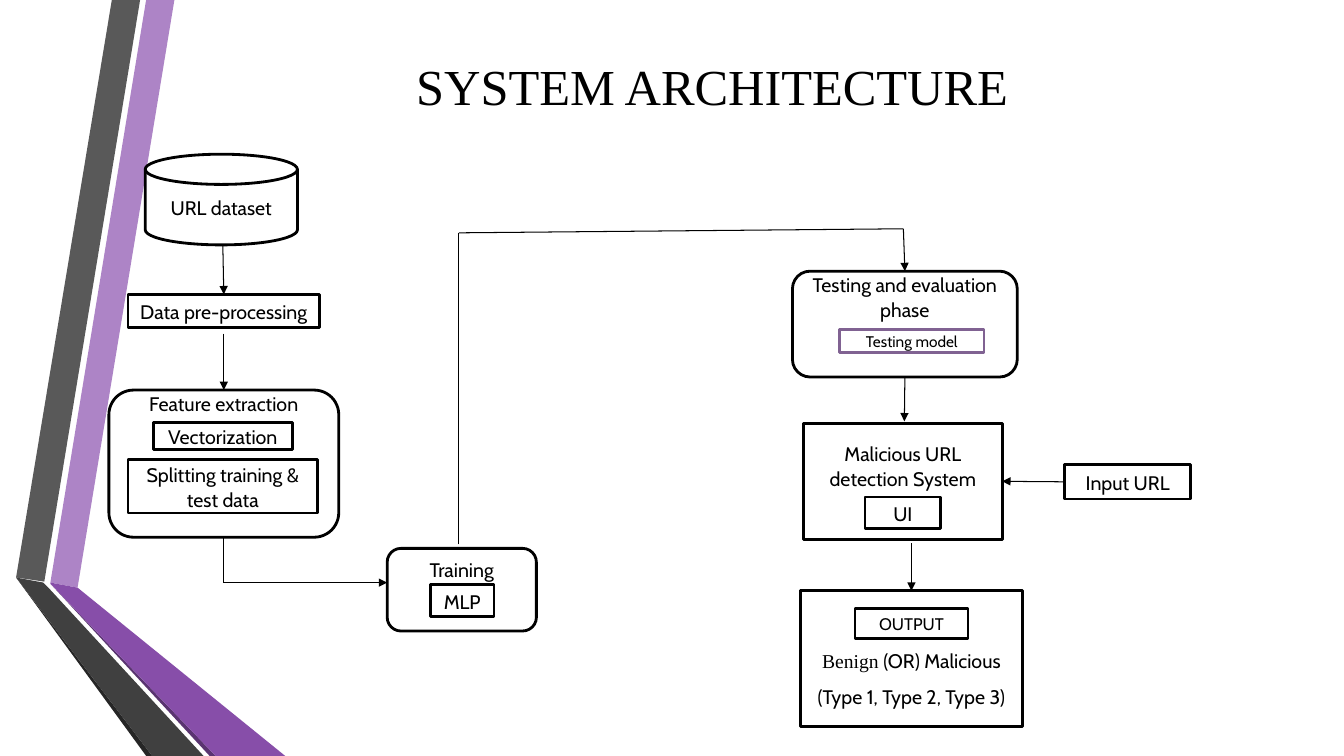
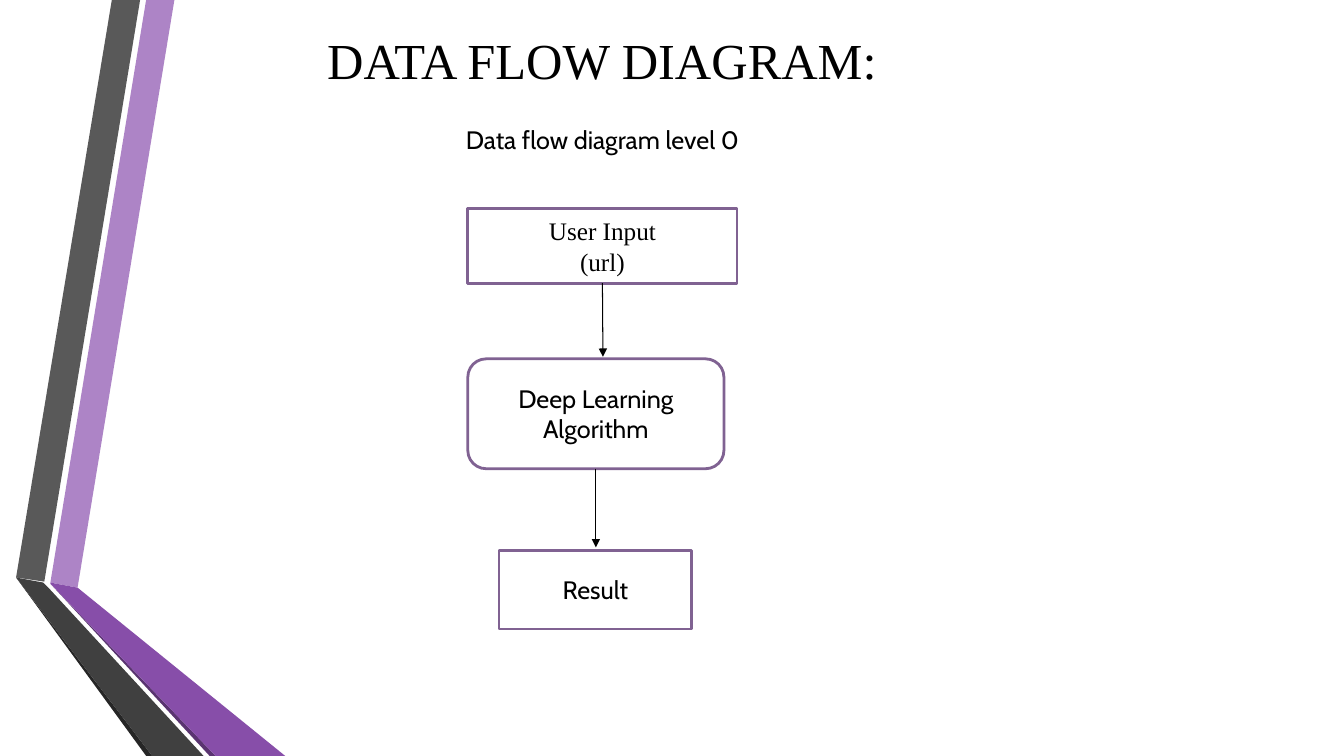
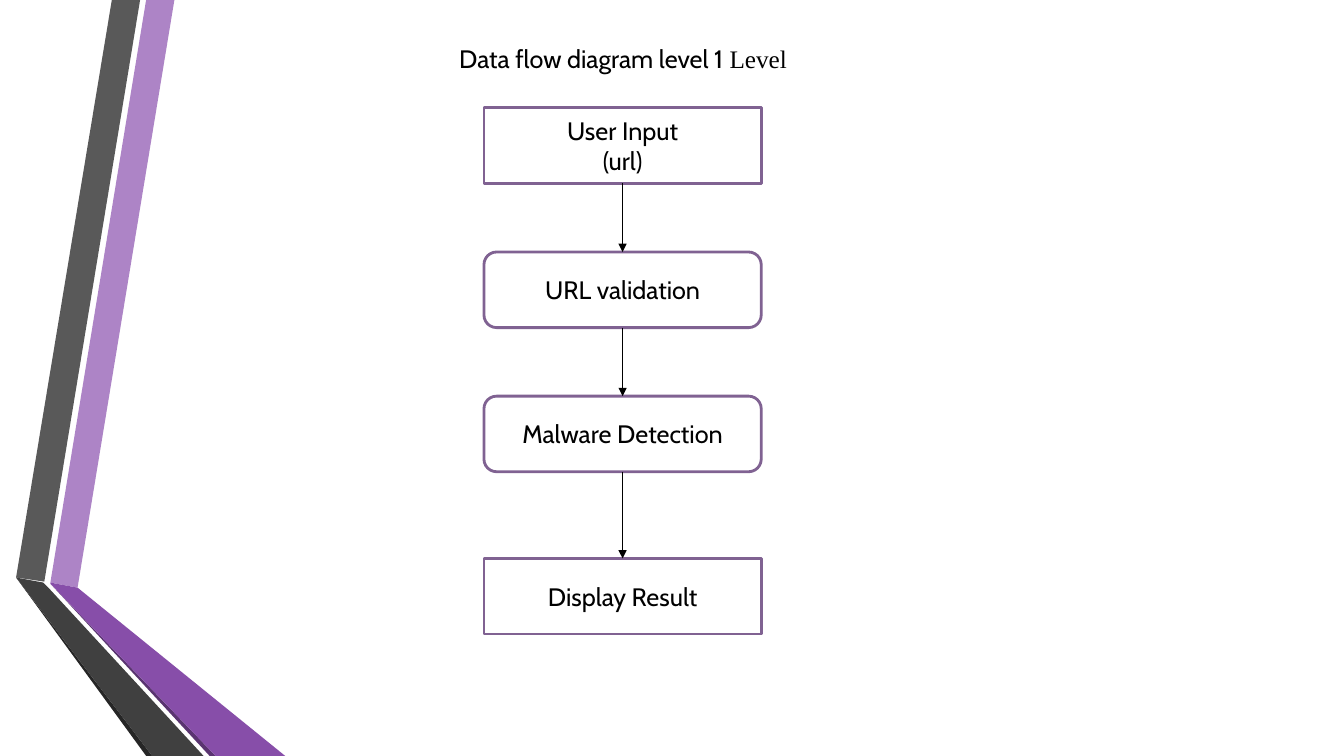
"""Build three slides on malicious URL detection: architecture and data flow diagrams."""
from itertools import pairwise

from lxml.etree import SubElement
from pptx import Presentation
from pptx.dml.color import RGBColor
from pptx.enum.shapes import MSO_CONNECTOR, MSO_SHAPE
from pptx.enum.text import MSO_ANCHOR, MSO_AUTO_SIZE, PP_ALIGN
from pptx.oxml.ns import qn
from pptx.util import Inches, Pt

WIDTH, HEIGHT = 13.33, 7.5
COLORS = {
    "ink": "000000", "paper": "FFFFFF", "plum": "806292",
    "lilac": "AD84C6", "violet": "874EA9", "violet shade": "5A3471",
    "gray": "595959", "charcoal": "404040", "charcoal shade": "262626",
}
SANS, SERIF = "Cabin", "Times New Roman"
TOP, LEFT, BOTTOM, RIGHT = range(4)
KINDS = {
    "disk": MSO_SHAPE.FLOWCHART_MAGNETIC_DISK,
    "process": MSO_SHAPE.FLOWCHART_PROCESS,
    "rounded": MSO_SHAPE.FLOWCHART_ALTERNATE_PROCESS,
}
RIBBONS = [
    ("lilac", [(0.5, 5.78), (0.77, 5.83), (1.73, 0), (1.45, 0)]),
    ("gray", [(1.39, 0), (1.11, 0), (0.16, 5.73), (0.44, 5.77)]),
    ("charcoal shade", [(0.16, 5.73), (1.45, 7.5), (1.51, 7.5)]),
    ("violet shade", [(0.5, 5.79), (2.08, 7.5), (2.14, 7.5)]),
    ("violet", [(0.5, 5.79), (2.14, 7.5), (2.83, 7.5), (0.77, 5.83), (0.5, 5.78)]),
    ("charcoal", [(2.02, 7.5), (0.48, 5.83), (0.43, 5.78), (0.16, 5.73), (1.51, 7.5)]),
]
LEVEL_ONE_STEPS = [
    ("input", "process", 1.07, ["User Input", "(url)"]),
    ("validation", "rounded", 2.5, ["URL validation"]),
    ("detection", "rounded", 3.93, ["Malware Detection"]),
    ("result", "process", 5.54, ["Display Result"]),
]
SLIDES = [
    {
        "title": ("SYSTEM ARCHITECTURE", (1.64, 0.49, 10.85, 0.71)),
        "style": {"size": 14, "spacing": 1.07, "after": 0, "line": "ink"},
        "boxes": [
            ("dataset", "disk", (1.44, 1.53, 1.51, 0.9), ["URL dataset"], {}),
            ("preprocessing", "process", (1.27, 2.92, 1.9, 0.33), ["Data pre-processing"], {}),
            ("features", "rounded", (1.08, 3.87, 2.28, 1.46), ["Feature extraction"],
             {"anchor": MSO_ANCHOR.TOP, "top": -0.07}),
            ("vectorization", "process", (1.52, 4.19, 1.38, 0.27), ["Vectorization"], {}),
            ("splitting", "process", (1.27, 4.56, 1.88, 0.53),
             ["Splitting training & test data"], {"side": 0.1}),
            ("training", "rounded", (3.84, 5.44, 1.48, 0.82), ["Training"],
             {"anchor": MSO_ANCHOR.TOP, "top": 0.04}),
            ("mlp", "process", (4.27, 5.8, 0.63, 0.32), ["MLP"], {}),
            ("testing", "rounded", (7.86, 2.69, 2.23, 1.05), ["Testing and evaluation phase"],
             {"anchor": MSO_ANCHOR.TOP, "top": -0.05, "side": 0.1}),
            ("model", "process", (8.33, 3.27, 1.43, 0.23), ["Testing model"],
             {"size": 11, "line": "plum"}),
            ("detection", "process", (7.97, 4.2, 1.97, 1.15),
             ["Malicious URL detection System"],
             {"anchor": MSO_ANCHOR.TOP, "top": 0.17, "side": 0.1}),
            ("interface", "process", (8.58, 4.93, 0.75, 0.31), ["UI"], {}),
            ("url", "process", (10.56, 4.61, 1.25, 0.34), ["Input URL"], {}),
            ("verdict", "process", (7.94, 5.86, 2.2, 1.35),
             [[("Benign", SERIF), (" (OR) Malicious", SANS)], "(Type 1, Type 2, Type 3)"],
             {"anchor": MSO_ANCHOR.BOTTOM, "bottom": 0.18, "after": 8}),
            ("output", "process", (8.48, 6.04, 1.12, 0.29), ["OUTPUT"], {"size": 12}),
        ],
        "routes": [
            [(2.21, 2.43), ("preprocessing", TOP)],
            [(2.22, 3.31), ("features", TOP)],
            [("features", BOTTOM), (2.22, 5.78), (3.84, 5.78)],
            [(4.55, 5.4), (4.55, 2.31), (8.96, 2.27), ("testing", TOP)],
            [("testing", BOTTOM), (8.97, 4.18)],
            [("url", LEFT), ("detection", RIGHT)],
            [(9.04, 5.39), ("verdict", TOP)],
        ],
    },
    {
        "title": ("DATA FLOW DIAGRAM:", (2.62, 0.23, 6.7, 0.71)),
        "caption": (["Data flow diagram level 0"], (2.06, 1.18, 7.83, 0.4)),
        "boxes": [
            ("input", "process", (4.64, 2.07, 2.67, 0.74),
             [[("User Input", SERIF)], [("(url)", SERIF)]], {}),
            ("algorithm", "rounded", (4.64, 3.56, 2.54, 1.09),
             ["Deep Learning Algorithm"], {"side": 0.1}),
            ("result", "process", (4.95, 5.46, 1.91, 0.78), ["Result"], {}),
        ],
        "routes": [
            [("input", BOTTOM), (5.98, 3.54)],
            [("algorithm", BOTTOM), (5.91, 5.43)],
        ],
    },
    {
        "caption": ([[("Data flow diagram level 1", SANS), (" Level", SERIF)]],
                    (2.83, 0.38, 6.7, 0.4)),
        "boxes": [(name, kind, (4.8, top, 2.75, 0.75), text, {})
                  for name, kind, top, text in LEVEL_ONE_STEPS],
        "routes": [[(upper[0], BOTTOM), (lower[0], TOP)]
                   for upper, lower in pairwise(LEVEL_ONE_STEPS)],
    },
]
DEFAULT_STYLE = {
    "size": 18, "font": SANS, "spacing": 1, "after": 0, "line": "plum",
    "anchor": MSO_ANCHOR.MIDDLE, "top": 0, "bottom": 0, "side": 0,
}


def color(name):
    """Return the named palette colour."""
    return RGBColor.from_string(COLORS[name])


def apply(target, formats):
    """Set each attribute in formats on the target."""
    for name, value in formats.items():
        setattr(target, name, value)


def paint(shape, fill, line=None):
    """Fill and outline a shape without a shadow."""
    shape.shadow.inherit = False
    shape.fill.solid()
    shape.fill.fore_color.rgb = color(fill)
    if line:
        shape.line.color.rgb = color(line)
        shape.line.width = Pt(2)
    else:
        shape.line.fill.background()


def write(shape, paragraphs, style):
    """Write centred paragraphs of strings or (text, font) runs."""
    frame = shape.text_frame
    apply(frame, {
        "word_wrap": True, "auto_size": MSO_AUTO_SIZE.NONE,
        "vertical_anchor": style["anchor"],
        "margin_top": Inches(style["top"]), "margin_bottom": Inches(style["bottom"]),
        "margin_left": Inches(style["side"]), "margin_right": Inches(style["side"]),
    })
    for index, runs in enumerate(paragraphs):
        paragraph = frame.add_paragraph() if index else frame.paragraphs[0]
        apply(paragraph, {
            "alignment": PP_ALIGN.CENTER, "line_spacing": style["spacing"],
            "space_before": Pt(0),
            "space_after": Pt(style["after"] if index < len(paragraphs) - 1 else 0),
        })
        for text, font in [(runs, style["font"])] if isinstance(runs, str) else runs:
            run = paragraph.add_run()
            run.text = text
            apply(run.font, {"name": font, "size": Pt(style["size"])})
            run.font.color.rgb = color("ink")


def add_ribbons(presentation, slide):
    """Draw the ribbons on a slide and move them to the master."""
    tree = presentation.slide_master.shapes.element
    for index, (fill, points) in enumerate(RIBBONS):
        corners = [(Inches(x), Inches(y)) for x, y in points]
        builder = slide.shapes.build_freeform(*corners[0])
        builder.add_line_segments(corners[1:], close=True)
        ribbon = builder.convert_to_shape()
        paint(ribbon, fill)
        ribbon.element.nvSpPr.cNvPr.set("id", str(20 + index))
        tree.insert(2 + index, ribbon.element)


def locate(end, boxes):
    """Return the point of a box side or of a plain position in inches."""
    if not isinstance(end[0], str):
        return Inches(end[0]), Inches(end[1])
    box, side = boxes[end[0]], end[1]
    across = {LEFT: 0, RIGHT: 2}.get(side, 1)
    down = {TOP: 0, BOTTOM: 2}.get(side, 1)
    return box.left + box.width * across // 2, box.top + box.height * down // 2


def add_route(slide, ends, boxes):
    """Draw a chain of straight connectors with an arrowhead at its end."""
    for start, finish in pairwise(ends):
        connector = slide.shapes.add_connector(
            MSO_CONNECTOR.STRAIGHT, *locate(start, boxes), *locate(finish, boxes))
        connector.line.color.rgb = color("ink")
        connector.line.width = Pt(0.75)
        if finish is ends[-1]:
            SubElement(connector.line._get_or_add_ln(), qn("a:tailEnd"), type="triangle")
        SubElement(connector.element.spPr, qn("a:effectLst"))
        for end, connect in ((start, connector.begin_connect), (finish, connector.end_connect)):
            if isinstance(end[0], str):
                connect(boxes[end[0]], end[1])


def add_slide(presentation, content):
    """Add one slide with its title, caption, boxes and routes."""
    layout = presentation.slide_layouts[5 if "title" in content else 6]
    slide = presentation.slides.add_slide(layout)
    style = DEFAULT_STYLE | content.get("style", {})
    if "title" in content:
        text, place = content["title"]
        title = slide.shapes.title
        apply(title, dict(zip(("left", "top", "width", "height"), map(Inches, place))))
        write(title, [text], DEFAULT_STYLE | {"size": 36, "font": SERIF})
    boxes = {}
    for name, kind, place, text, changes in content["boxes"]:
        box_style = style | changes
        box = slide.shapes.add_shape(KINDS[kind], *map(Inches, place))
        paint(box, "paper", box_style["line"])
        write(box, text, box_style)
        boxes[name] = box
    for ends in content["routes"]:
        add_route(slide, ends, boxes)
    if "caption" in content:
        text, place = content["caption"]
        write(slide.shapes.add_textbox(*map(Inches, place)), text, style)
    return slide


def main():
    """Build and save the presentation."""
    presentation = Presentation()
    apply(presentation, {"slide_width": Inches(WIDTH), "slide_height": Inches(HEIGHT)})
    slides = [add_slide(presentation, content) for content in SLIDES]
    add_ribbons(presentation, slides[0])
    presentation.save("out.pptx")


if __name__ == "__main__":
    main()
